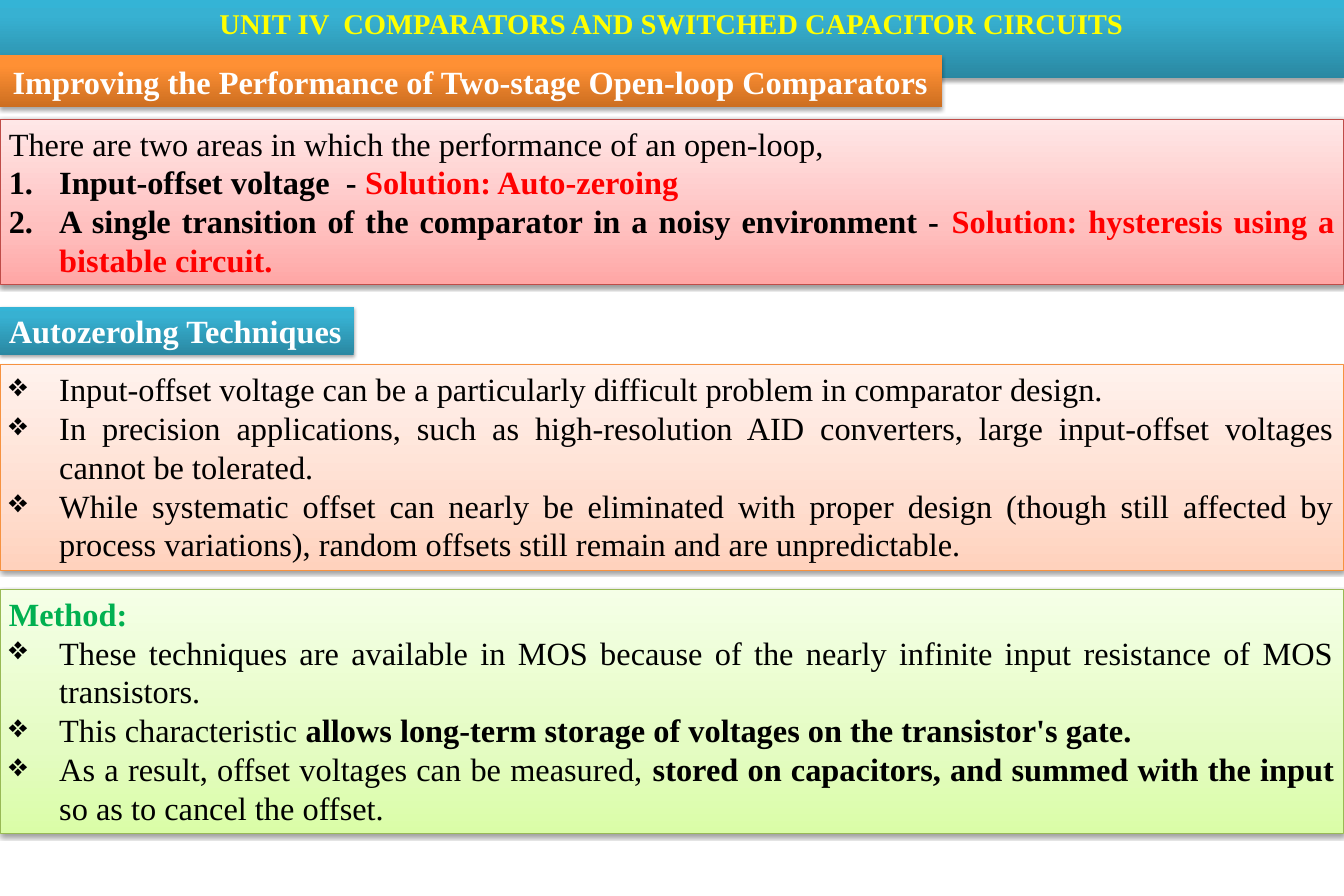
"""Build the slide on improving open-loop comparators and autozeroing."""
from dataclasses import dataclass, field
from typing import Any, Optional

from lxml.etree import SubElement
from pptx import Presentation
from pptx.dml.color import RGBColor as RGB
from pptx.enum.shapes import MSO_SHAPE as SHAPE
from pptx.enum.text import MSO_ANCHOR as ANCHOR, MSO_AUTO_SIZE as AUTO, PP_ALIGN as ALIGN
from pptx.oxml.ns import qn
from pptx.util import Cm, Pt


@dataclass(frozen=True)
class Look:
    stops: tuple[tuple[int, str], ...]
    line: Optional[str] = None
    shadow_alpha: int = 35
    shadow_dist: float = 1.8


@dataclass(frozen=True)
class Theme:
    font: str = "Times New Roman"
    size: float = 26
    title_size: float = 23
    line_width: float = 0.75
    shadow_blur: float = 3.1
    indent: float = 1.43
    black: str = "000000"
    white: str = "FFFFFF"
    red: str = "FF0000"
    green: str = "00B050"
    yellow: str = "FFFF00"
    teal_bar: Look = Look(((0, "2A88A2"), (80, "37B1D2"), (100, "34B4D6")))
    orange_bar: Look = Look(((0, "CC6E20"), (80, "FF9034"), (100, "FF9136")))
    pink_panel: Look = Look(((0, "FFA6A5"), (35, "FFC0BF"), (100, "FFE7E7")), "BF4C48", 38, 1.6)
    peach_panel: Look = Look(((0, "FFD2BD"), (35, "FFDED0"), (100, "FFF2ED")), "F69240", 38, 1.6)
    lime_panel: Look = Look(((0, "DAFDA7"), (35, "E4FCC2"), (100, "F5FFE7")), "98B955", 38, 1.6)


T = Theme()
WIDTH, HEIGHT = 38.1, 25.4
NUMBER, DIAMOND = "1.", "❖"
WIDE_INSETS, INSETS = (0.36, 0.18), (0.25, 0.13)


@dataclass(frozen=True)
class Run:
    text: str
    color: str = T.black
    bold: bool = False
    size: float = T.size


@dataclass(frozen=True)
class Para:
    runs: list[Run]
    bullet: str = ""
    align: ALIGN = ALIGN.JUSTIFY


@dataclass(frozen=True)
class Box:
    top: float
    height: float
    look: Look
    paras: list[Para] = field(default_factory=list)
    width: float = WIDTH
    insets: tuple[float, float] = INSETS
    wrap: bool = True


def heading(text: str, color: str = T.white, size: float = T.size,
            align: ALIGN = ALIGN.LEFT) -> list[Para]:
    """Return a single bold paragraph."""
    return [Para([Run(text, color, True, size)], align=align)]


TITLE = Box(0, 1.35, T.teal_bar,
            heading("UNIT IV  COMPARATORS AND SWITCHED CAPACITOR CIRCUITS",
                    T.yellow, T.title_size, ALIGN.CENTER), insets=WIDE_INSETS)

BOXES = [
    Box(1.57, 1.47, T.orange_bar,
        heading("Improving the Performance of Two-stage Open-loop Comparators"),
        26.7, WIDE_INSETS, False),
    Box(3.38, 4.7, T.pink_panel, [
        Para([Run("There are two areas in which the performance of an open-loop,")]),
        Para([Run("Input-offset voltage  - ", bold=True),
              Run("Solution: Auto-zeroing", T.red, True)], NUMBER),
        Para([Run("A single transition of the comparator in a noisy environment - ", bold=True),
              Run("Solution: hysteresis using a bistable circuit.", T.red, True)], NUMBER),
    ]),
    Box(8.69, 1.37, T.teal_bar, heading("Autozerolng Techniques"), 10.03, wrap=False),
    Box(10.34, 5.82, T.peach_panel, [
        Para([Run(text)], DIAMOND) for text in (
            "Input-offset voltage can be a particularly difficult problem in comparator design.",
            "In precision applications, such as high-resolution AID converters, large "
            "input-offset voltages cannot be tolerated.",
            "While systematic offset can nearly be eliminated with proper design (though still "
            "affected by process variations), random offsets still remain and are unpredictable.",
        )
    ]),
    Box(16.71, 6.93, T.lime_panel, [
        *heading("Method:", T.green),
        Para([Run("These techniques are available in MOS because of the nearly infinite "
                  "input resistance of MOS transistors.")], DIAMOND),
        Para([Run("This characteristic "),
              Run("allows long-term storage of voltages on the transistor's gate.", bold=True)],
             DIAMOND),
        Para([Run("As a result, offset voltages can be measured, "),
              Run("stored on capacitors, and summed with the input ", bold=True),
              Run("so as to cancel the offset.")], DIAMOND),
    ]),
]


def set_all(target: Any, values: dict[str, Any]) -> None:
    """Set every named attribute on the target."""
    for name, value in values.items():
        setattr(target, name, value)


def add_color(parent: Any, color: str) -> Any:
    """Append an RGB colour element and return it."""
    return SubElement(parent, qn("a:srgbClr"), val=color)


def apply_look(sp: Any, look: Look) -> None:
    """Give the shape its gradient, outline and shadow."""
    sp.fill.gradient()
    sp.fill.gradient_angle = 90
    stops = sp._element.spPr.find(f".//{qn('a:gsLst')}")
    stops[:] = []
    for pos, color in look.stops:
        add_color(SubElement(stops, qn("a:gs"), pos=str(pos * 1000)), color)
    if look.line:
        sp.line.color.rgb = RGB.from_string(look.line)
        sp.line.width = Pt(T.line_width)
    else:
        sp.line.fill.background()
    sp.shadow.inherit = False
    effects = sp._element.spPr.find(qn("a:effectLst"))
    shadow = SubElement(effects, qn("a:outerShdw"), blurRad=str(Pt(T.shadow_blur)),
                        dist=str(Pt(look.shadow_dist)), dir="5400000", rotWithShape="0")
    SubElement(add_color(shadow, T.black), qn("a:alpha"), val=str(look.shadow_alpha * 1000))


def add_bullet(p: Any, bullet: str) -> None:
    """Give the paragraph a hanging number or symbol."""
    pPr = p._p.get_or_add_pPr()
    pPr.set("marL", str(Cm(T.indent)))
    pPr.set("indent", str(-Cm(T.indent)))
    if bullet == NUMBER:
        SubElement(pPr, qn("a:buAutoNum"), type="arabicPeriod")
    else:
        SubElement(pPr, qn("a:buChar"), char=bullet)


def write_text(sp: Any, box: Box) -> None:
    """Fill the shape with the paragraphs of the box."""
    tf = sp.text_frame
    side, edge = map(Cm, box.insets)
    set_all(tf, {"word_wrap": box.wrap, "auto_size": AUTO.SHAPE_TO_FIT_TEXT,
                 "vertical_anchor": ANCHOR.TOP, "margin_left": side, "margin_right": side,
                 "margin_top": edge, "margin_bottom": edge})
    for i, para in enumerate(box.paras):
        p = tf.add_paragraph() if i else tf.paragraphs[0]
        p.alignment = para.align
        if para.bullet:
            add_bullet(p, para.bullet)
        for run in para.runs:
            r = p.add_run()
            r.text = run.text
            set_all(r.font, {"name": T.font, "size": Pt(run.size), "bold": run.bold})
            r.font.color.rgb = RGB.from_string(run.color)


def format_box(sp: Any, box: Box) -> None:
    """Place, colour and fill one shape."""
    set_all(sp, {"left": Cm(0), "top": Cm(box.top),
                 "width": Cm(box.width), "height": Cm(box.height)})
    apply_look(sp, box.look)
    write_text(sp, box)


def main() -> None:
    """Build and save the presentation."""
    prs = Presentation()
    set_all(prs, {"slide_width": Cm(WIDTH), "slide_height": Cm(HEIGHT)})
    s = prs.slides.add_slide(prs.slide_layouts[5])
    format_box(s.shapes.title, TITLE)
    for box in BOXES:
        format_box(s.shapes.add_shape(SHAPE.RECTANGLE, 0, 0, Cm(1), Cm(1)), box)
    prs.save("out.pptx")


if __name__ == "__main__":
    main()
